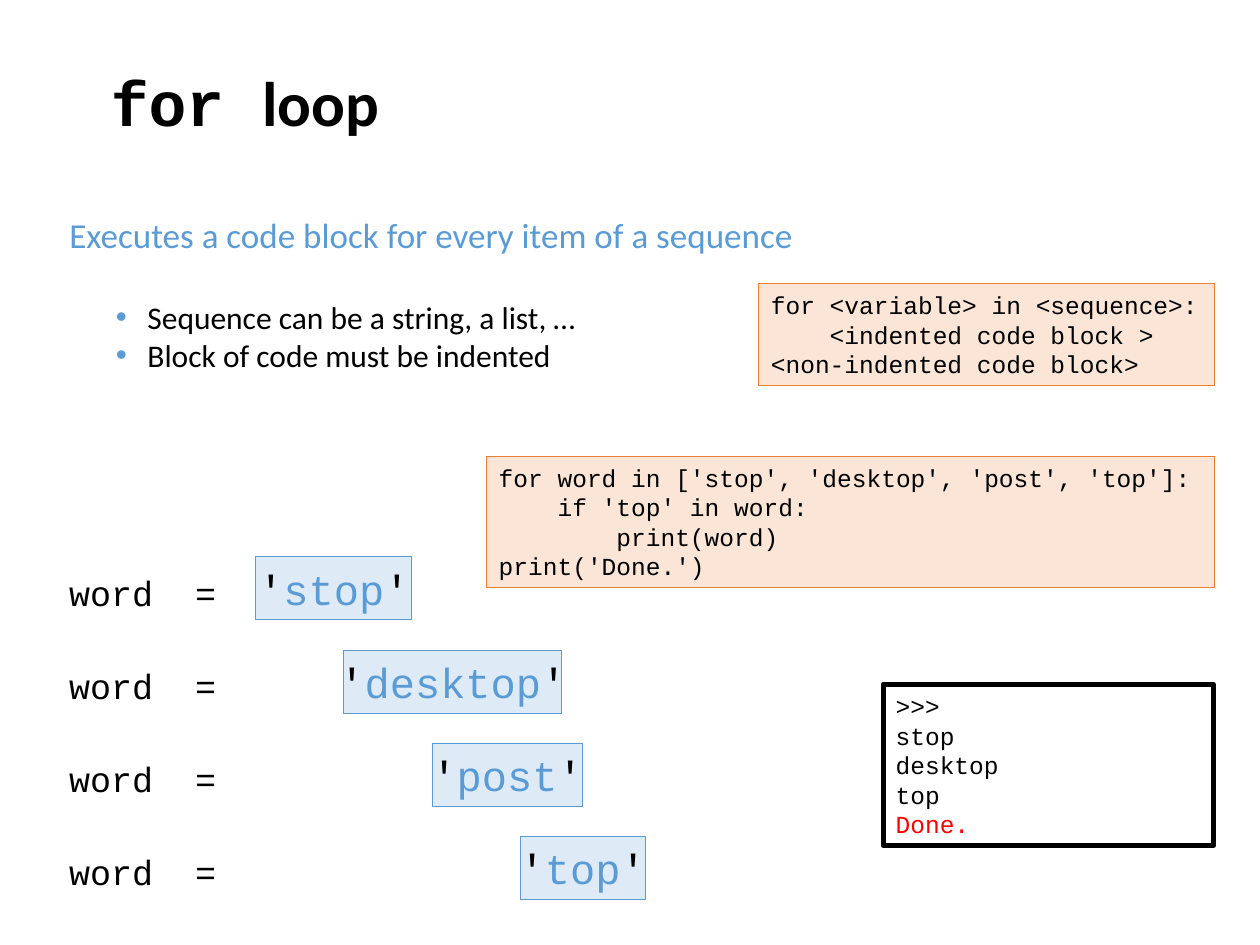
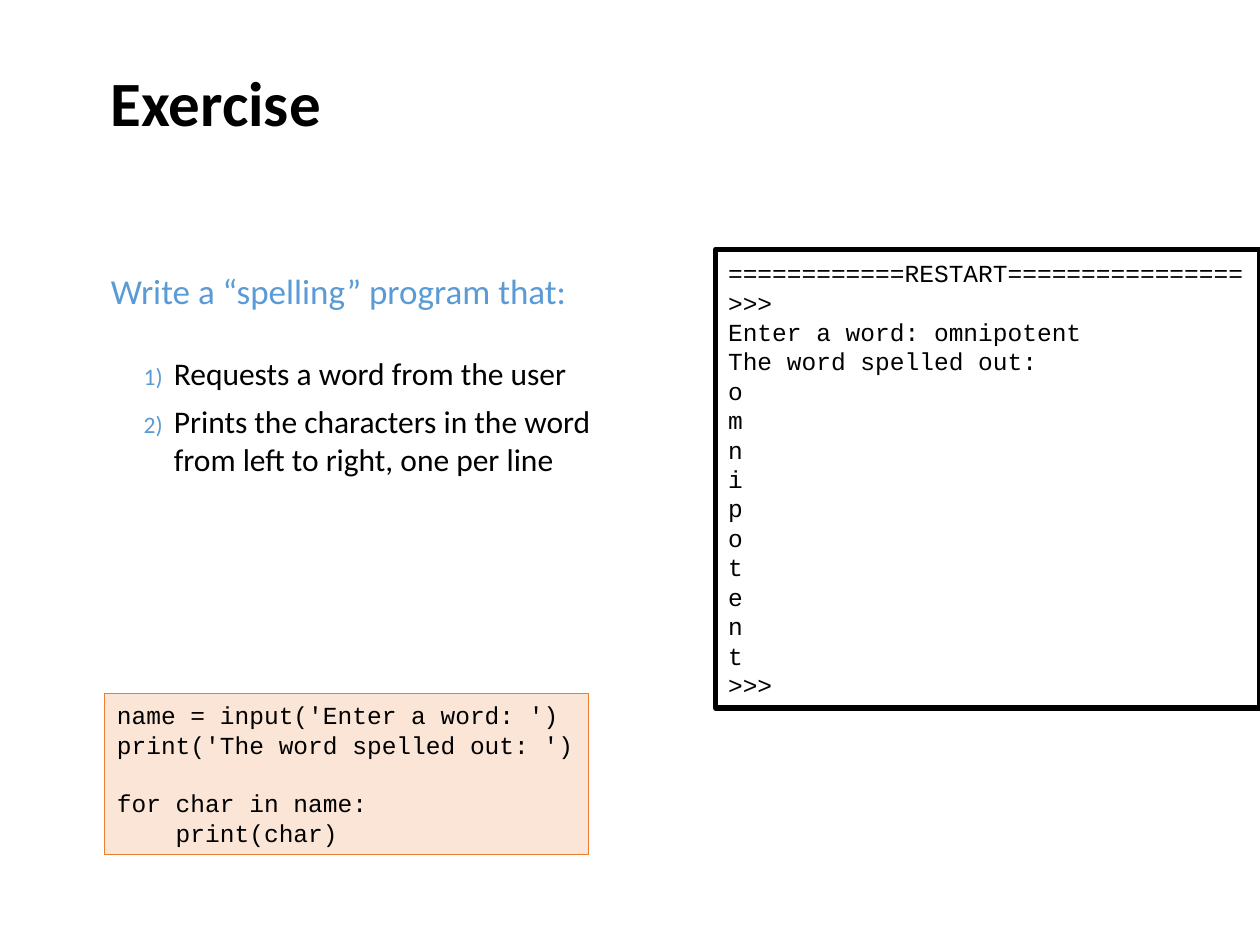
from typing import NamedTuple

from lxml.etree import SubElement as Sub
from pptx import Presentation
from pptx.dml.color import RGBColor
from pptx.enum.shapes import MSO_SHAPE as Kind
from pptx.enum.text import MSO_ANCHOR as Anchor
from pptx.enum.text import MSO_AUTO_SIZE as Fit
from pptx.enum.text import PP_ALIGN as Align
from pptx.oxml.ns import qn
from pptx.util import Inches, Pt

BLACK = RGBColor(0x00, 0x00, 0x00)
WHITE = RGBColor(0xFF, 0xFF, 0xFF)
RED = RGBColor(0xFF, 0x00, 0x00)
BLUE = RGBColor(0x5B, 0x9B, 0xD5)
PALE = RGBColor(0xDE, 0xEB, 0xF7)
ORANGE = RGBColor(0xED, 0x7D, 0x31)
PEACH = RGBColor(0xFB, 0xE5, 0xD6)

SANS = "Calibri"
MONO = "Courier New"
COLS, ROWS = 100, 75
GAP = 24.4


class Box(NamedTuple):
    col: float
    row: float
    wide: float
    high: float


class Look(NamedTuple):
    fill: RGBColor
    edge: RGBColor
    width: float


class Bit(NamedTuple):
    text: str
    size: float
    font: str = MONO
    color: RGBColor = BLACK
    bold: bool = False


class Item(NamedTuple):
    text: str
    level: int
    left: float
    hang: float
    after: float
    mark: str


class Chip(NamedTuple):
    word: str
    wide: float


CODE = Look(PEACH, ORANGE, 0.5)
SHELL = Look(WHITE, BLACK, 3)
TILE = Look(PALE, BLUE, 0.5)
HEAD = Box(7.8, 0, 85, 16.1)

deck = Presentation()
deck.slide_width = Inches(10)
deck.slide_height = Inches(7.5)


def across(cols: float) -> int:
    return round(deck.slide_width * cols / COLS)


def down(rows: float) -> int:
    return round(deck.slide_height * rows / ROWS)


def place(shape, box: Box) -> None:
    shape.left, shape.top = across(box.col), down(box.row)
    shape.width, shape.height = across(box.wide), down(box.high)


def write(para, *bits: Bit) -> None:
    for bit in bits:
        run = para.add_run()
        run.text = bit.text
        font = run.font
        font.name, font.size, font.bold = bit.font, Pt(bit.size), bit.bold
        font.color.rgb = bit.color


def setup(frame, fit: Fit, wrap: bool = True) -> None:
    frame.word_wrap = wrap
    frame.auto_size = fit
    frame.vertical_anchor = Anchor.MIDDLE


def panel(slide, box: Box, look: Look):
    shape = slide.shapes.add_shape(Kind.RECTANGLE, 0, 0, 0, 0)
    place(shape, box)
    shape.shadow.inherit = False
    shape.fill.solid()
    shape.fill.fore_color.rgb = look.fill
    shape.line.color.rgb = look.edge
    shape.line.width = Pt(look.width)
    return shape.text_frame


def listing(slide, box: Box, look: Look, text: str, last: RGBColor = BLACK) -> None:
    frame = panel(slide, box, look)
    setup(frame, Fit.SHAPE_TO_FIT_TEXT)
    lines = text.split("\n")
    for num, line in enumerate(lines):
        para = frame.paragraphs[0] if num == 0 else frame.add_paragraph()
        para.alignment = Align.LEFT
        para.font.size = Pt(14)
        if line:
            color = last if num == len(lines) - 1 else BLACK
            write(para, Bit(line, 14, color=color))


def bullet(para, left: float, hang: float, mark: str = "") -> None:
    props = para._p.get_or_add_pPr()
    props.set("marL", str(Inches(left)))
    props.set("indent", str(-Inches(hang)))
    if not mark:
        Sub(props, qn("a:buNone"))
        return
    Sub(Sub(props, qn("a:buClr")), qn("a:srgbClr"), val=str(BLUE))
    if mark == "1)":
        Sub(props, qn("a:buSzPct"), val="75000")
        Sub(props, qn("a:buFont"), typeface="+mj-lt")
        Sub(props, qn("a:buAutoNum"), type="arabicParenR")
    else:
        Sub(props, qn("a:buFont"), typeface="Arial")
        Sub(props, qn("a:buChar"), char=mark)


def start(*title: Bit):
    slide = deck.slides.add_slide(deck.slide_layouts[1])
    head = slide.shapes.title
    place(head, HEAD)
    setup(head.text_frame, Fit.NONE)
    para = head.text_frame.paragraphs[0]
    para.alignment = Align.LEFT
    write(para, *title)
    return slide


def body(slide, box: Box, lead: str, items: list[Item]) -> None:
    shape = slide.placeholders[1]
    place(shape, box)
    frame = shape.text_frame
    setup(frame, Fit.SHAPE_TO_FIT_TEXT)
    para = frame.paragraphs[0]
    para.space_before, para.space_after = Pt(0), Pt(GAP)
    bullet(para, 0, 0)
    write(para, Bit(lead, 20, SANS, BLUE))
    for item in items:
        para = frame.add_paragraph()
        para.level = item.level
        para.space_before, para.space_after = Pt(0), Pt(item.after)
        bullet(para, item.left, item.hang, item.mark)
        write(para, Bit(item.text, 18, SANS))


def label(slide, box: Box, text: str) -> None:
    shape = slide.shapes.add_textbox(0, 0, 0, 0)
    place(shape, box)
    setup(shape.text_frame, Fit.SHAPE_TO_FIT_TEXT)
    write(shape.text_frame.paragraphs[0], Bit(text, 20))


def stairs(slide, chips: list[Chip]) -> None:
    for step, chip in enumerate(chips):
        row = 44.2 + 7.4 * step
        label(slide, Box(4.5, row + 0.6, 13.8, 4.4), "word  =")
        frame = panel(slide, Box(20.3 + 7 * step, row, chip.wide, 5), TILE)
        setup(frame, Fit.NONE, wrap=False)
        para = frame.paragraphs[0]
        para.alignment = Align.CENTER
        quote = Bit("'", 24)
        write(para, quote, Bit(chip.word, 24, color=BLUE), quote)


def loop() -> None:
    slide = start(Bit("for ", 36, MONO, bold=True), Bit("loop", 36, SANS, bold=True))
    points = ["Sequence can be a string, a list, …", "Block of code must be indented"]
    body(slide, Box(4.5, 16.4, 59.7, 13.8),
         "Executes a code block for every item of a sequence",
         [Item(text, 1, 0.62, 0.25, 0, "•") for text in points])
    stairs(slide, [Chip("stop", 12.4), Chip("desktop", 17.3),
                   Chip("post", 11.9), Chip("top", 9.9)])
    listing(slide, Box(38.6, 36.2, 57.8, 10.4), CODE,
            "for word in ['stop', 'desktop', 'post', 'top']:\n"
            "    if 'top' in word:\n"
            "        print(word)\n"
            "print('Done.')")
    listing(slide, Box(60.2, 22.5, 36.2, 8.1), CODE,
            "for <variable> in <sequence>:\n"
            "    <indented code block >\n"
            "<non-indented code block>")
    listing(slide, Box(70.1, 54.3, 26.2, 12.8), SHELL,
            ">>> \nstop\ndesktop\ntop\nDone.", RED)


def task() -> None:
    slide = start(Bit("Exercise", 36, SANS, bold=True))
    points = ["Requests a word from the user",
              "Prints the characters in the word from left to right, one per line"]
    body(slide, Box(7.8, 20.8, 44.9, 17.7), "Write a “spelling” program that:",
         [Item(text, 0, 0.5, 0.24, 6, "1)") for text in points])
    listing(slide, Box(8.3, 55, 38.4, 12.8), CODE,
            "name = input('Enter a word: ')\n"
            "print('The word spelled out: ')\n"
            "\n"
            "for char in name:\n"
            "    print(char)")
    word = "omnipotent"
    listing(slide, Box(56.8, 19.8, 43.2, 36.4), SHELL,
            "\n".join(["============RESTART================", ">>> ",
                       f"Enter a word: {word}", "The word spelled out: ",
                       *word, ">>> "]))


loop()
task()
deck.save("out.pptx")
